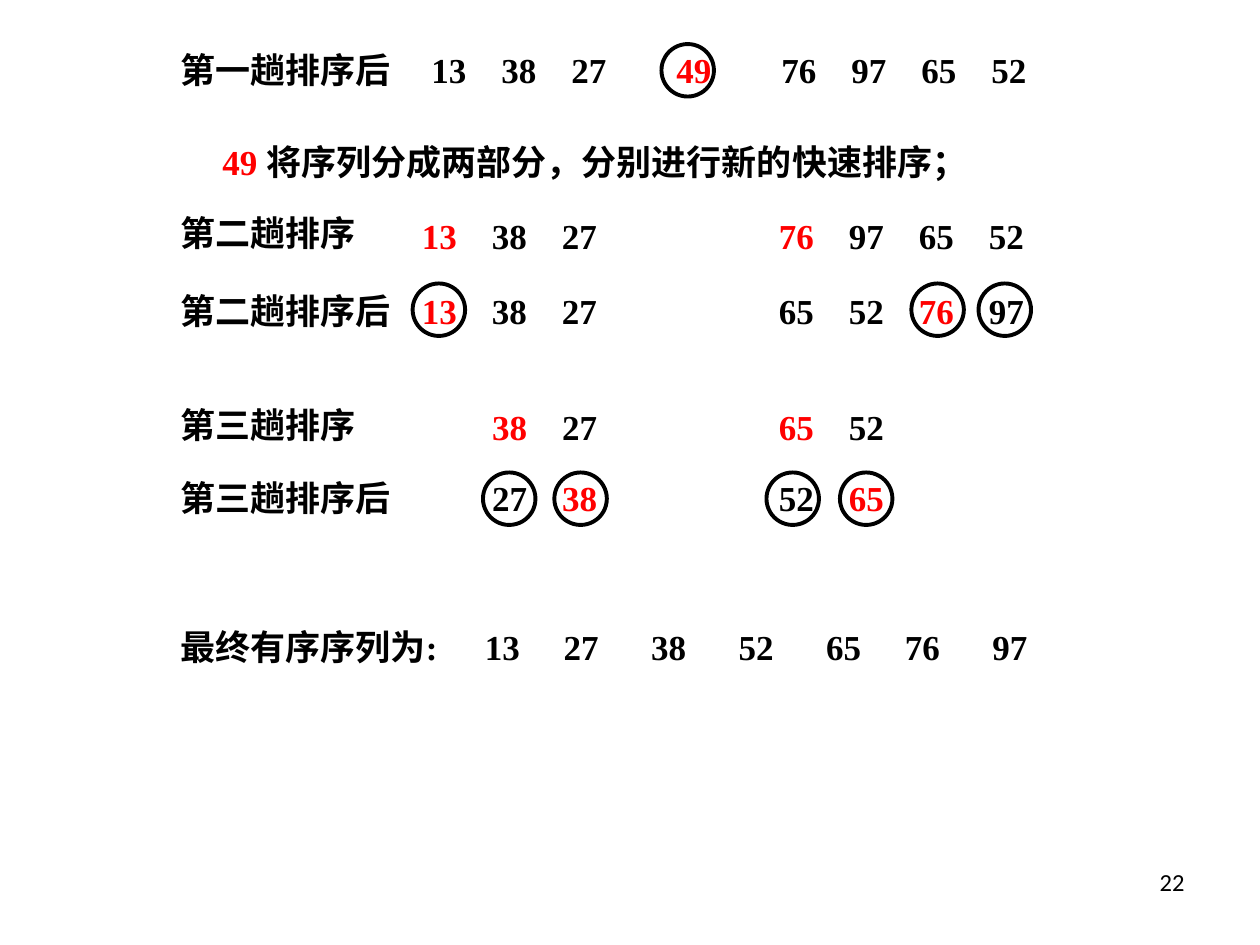
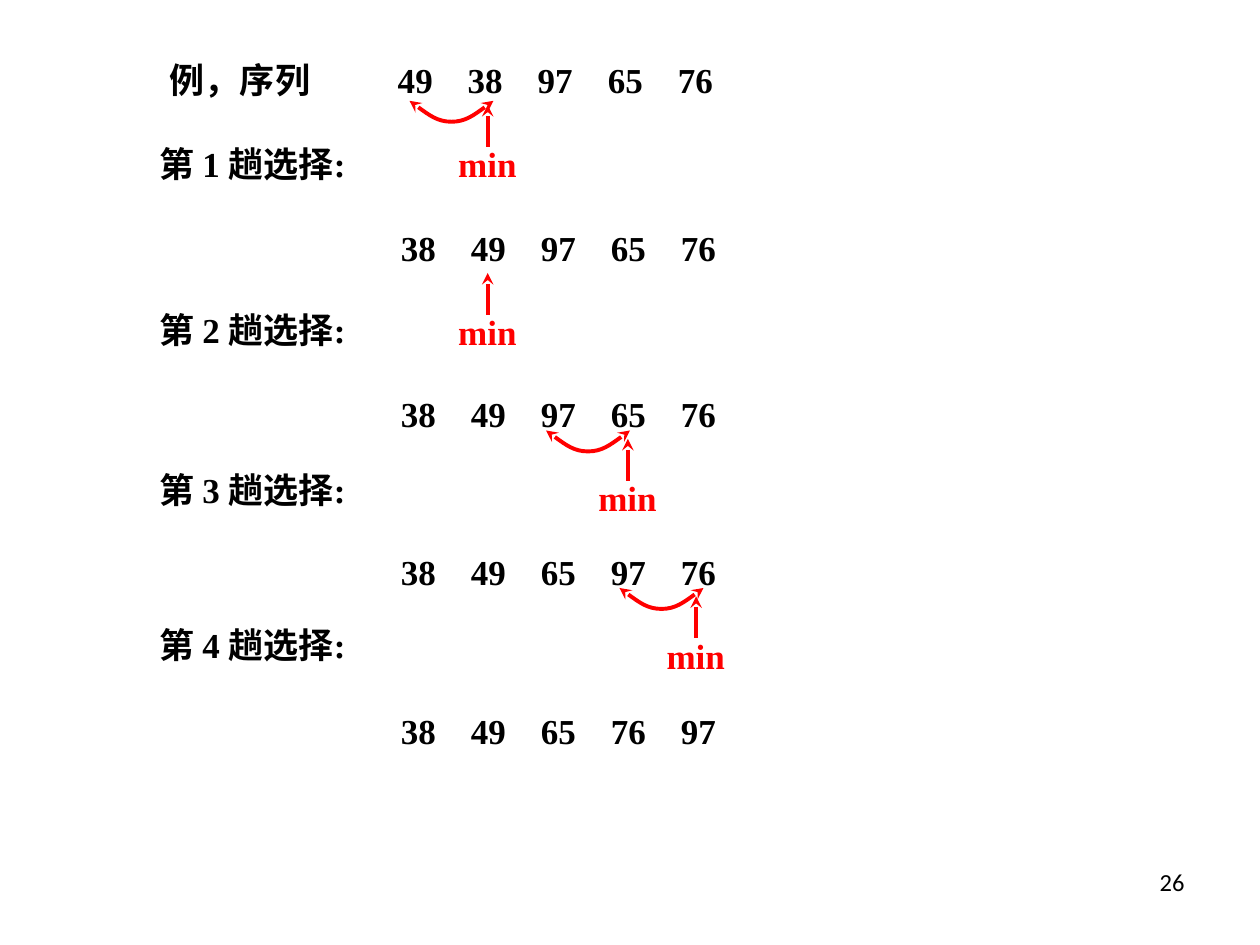
from dataclasses import dataclass
from itertools import accumulate

from lxml.etree import SubElement
from pptx import Presentation
from pptx.dml.color import RGBColor
from pptx.enum.shapes import MSO_CONNECTOR, MSO_SHAPE
from pptx.enum.text import MSO_AUTO_SIZE, PP_ALIGN
from pptx.oxml.ns import qn
from pptx.util import Inches, Pt


@dataclass(frozen=True)
class Theme:
    ink: RGBColor = RGBColor(0, 0, 0)
    pivot: RGBColor = RGBColor(255, 0, 0)
    body_font: str = "Times New Roman"
    number_font: str = "Calibri"
    body_size: Pt = Pt(20)
    number_size: Pt = Pt(14)
    stroke: Pt = Pt(2.25)
    before: Pt = Pt(12.5)


theme = Theme()
BLACK, RED = theme.ink, theme.pivot

deck = Presentation()
deck.slide_width, deck.slide_height = Inches(10), Inches(7.5)
CELL = deck.slide_width / 120
PITCH = 20 / 3
TABS = [PITCH * step for step in range(1, 5)]


def grid(*cells):
    return [round(cell * CELL) for cell in cells]


def write(shapes, left, top, width, pieces, tabs=TABS):
    box = shapes.add_textbox(*grid(left, top, width, 5.3))
    frame = box.text_frame
    frame.word_wrap = True
    frame.auto_size = MSO_AUTO_SIZE.SHAPE_TO_FIT_TEXT
    line = frame.paragraphs[0]
    line.space_before = theme.before
    stops = SubElement(line._p.get_or_add_pPr(), qn("a:tabLst"))
    for position in grid(*tabs):
        SubElement(stops, qn("a:tab"), pos=str(position), algn="l")
    for text, colour in pieces:
        run = line.add_run()
        run.text = text
        run.font.name, run.font.size, run.font.bold = theme.body_font, theme.body_size, True
        run.font.color.rgb = colour


quick, selection = [deck.slides.add_slide(deck.slide_layouts[6]) for _ in range(2)]
for slide, page in ((quick, "22"), (selection, "26")):
    footer = slide.shapes.add_textbox(*grid(86, 82, 28, 6.2)).text_frame
    footer.word_wrap = True
    footer.text = page
    number = footer.paragraphs[0]
    number.alignment = PP_ALIGN.RIGHT
    font = number.runs[0].font
    font.name, font.size, font.color.rgb = theme.number_font, theme.number_size, BLACK

LABEL, LEFT_PART, LEFT_REST, RIGHT_PART = 16, 39, 45.7, 73
first_pass_tabs = [23.9 + PITCH * step for step in (0, 1, 2, 3.5, 5, 6, 7, 8)]
write(quick.shapes, LABEL, 4, 92,
      [("第一趟排序后\t13\t38\t27\t", BLACK), ("49\t", RED), ("76\t97\t65\t52", BLACK)],
      first_pass_tabs)
write(quick.shapes, 20, 12.8, 91,
      [("49 ", RED), ("将序列分成两部分，分别进行新的快速排序；", BLACK)])

for label, top in (("第二趟排序", 19.6), ("第二趟排序后", 27),
                   ("第三趟排序", 37.8), ("第三趟排序后", 44.8)):
    write(quick.shapes, LABEL, top, 24, [(label, BLACK)])

parts = [
    (LEFT_PART, 19.8, 23, [("13", RED), ("\t38\t27", BLACK)]),
    (RIGHT_PART, 19.8, 36, [("76", RED), ("\t97\t65\t52", BLACK)]),
    (LEFT_PART, 27, 23, [("13", RED), ("\t38\t27", BLACK)]),
    (RIGHT_PART, 27, 36, [("65\t52\t", BLACK), ("76", RED), ("\t97", BLACK)]),
    (LEFT_REST, 38, 17, [("38", RED), ("\t27", BLACK)]),
    (RIGHT_PART, 38, 16, [("65", RED), ("\t52", BLACK)]),
    (LEFT_REST, 44.8, 17, [("27", BLACK), ("\t38", RED)]),
    (RIGHT_PART, 44.8, 16, [("52", BLACK), ("\t65", RED)]),
]
for left, top, width, pieces in parts:
    write(quick.shapes, left, top, width, pieces)

for top, lefts in ((4.2, [63]), (27, [39.3, 86.8, 93.2]), (45, [46, 52.8, 73, 80])):
    for left in lefts:
        settled = quick.shapes.add_shape(MSO_SHAPE.OVAL, *grid(left, top, 5, 5))
        settled.shadow.inherit = False
        settled.fill.background()
        settled.line.color.rgb, settled.line.width = BLACK, theme.stroke

write(quick.shapes, LABEL, 59, 30, [("最终有序序列为:", BLACK)])
final_tabs = [half_em * PITCH / 8 for half_em in accumulate((9, 10, 10, 10, 9, 10))]
write(quick.shapes, 45, 59, 66, [("13\t27\t38\t52\t65\t76\t97", BLACK)], final_tabs)

start_tabs = [21.7 + PITCH * step for step in range(5)]
write(selection.shapes, 15, 5, 87, [("例，序列\t49\t38\t97\t65\t76", BLACK)], start_tabs)

passes = [
    (13, 46.45, 10, (39, 9.6), 21, "38\t49\t97\t65\t76"),
    (28.8, 46.45, 26, None, 36.8, "38\t49\t97\t65\t76"),
    (44, 59.8, 41.8, (52, 41), 51.8, "38\t49\t65\t97\t76"),
    (58.8, 66.3, 56.8, (59, 56), 67, "38\t49\t65\t76\t97"),
]
swap_curve = [(1 / 6, 1 / 2), (1 / 3, 1), (1 / 2, 1), (2 / 3, 1), (5 / 6, 1 / 2), (1, 0)]
for turn, (label_top, min_x, min_y, swap, result_top, result) in enumerate(passes, 1):
    write(selection.shapes, 14, label_top, 37, [(f"第 {turn} 趟选择:", BLACK)])

    marker = selection.shapes.add_group_shape()
    pointer = marker.shapes.add_connector(
        MSO_CONNECTOR.STRAIGHT, *grid(min_x, min_y, min_x, min_y + 4))
    SubElement(pointer._element.spPr, qn("a:effectLst"))
    pointer.line.color.rgb, pointer.line.width = RED, theme.stroke
    SubElement(pointer.line._get_or_add_ln(), qn("a:headEnd"), type="stealth")
    write(marker.shapes, min_x - 4, min_y + 3, 10, [("min", RED)])

    if swap:
        left, top = swap
        builder = selection.shapes.build_freeform(*grid(left, top))
        builder.add_line_segments(
            [grid(left + 8 * x, top + 2 * y) for x, y in swap_curve], close=False)
        arc = builder.convert_to_shape()
        arc.shadow.inherit = False
        arc.fill.background()
        arc.line.color.rgb, arc.line.width = RED, theme.stroke
        for end in ("a:headEnd", "a:tailEnd"):
            SubElement(arc.line._get_or_add_ln(), qn(end), type="stealth")
        outline = arc._element.find(".//" + qn("a:path"))
        segments = outline.findall(qn("a:lnTo"))
        for first in (0, 3):
            bend = SubElement(outline, qn("a:cubicBezTo"))
            for segment in segments[first:first + 3]:
                bend.append(segment[0])
                outline.remove(segment)

    write(selection.shapes, 37, result_top, 38, [(result, BLACK)])

deck.save("out.pptx")
